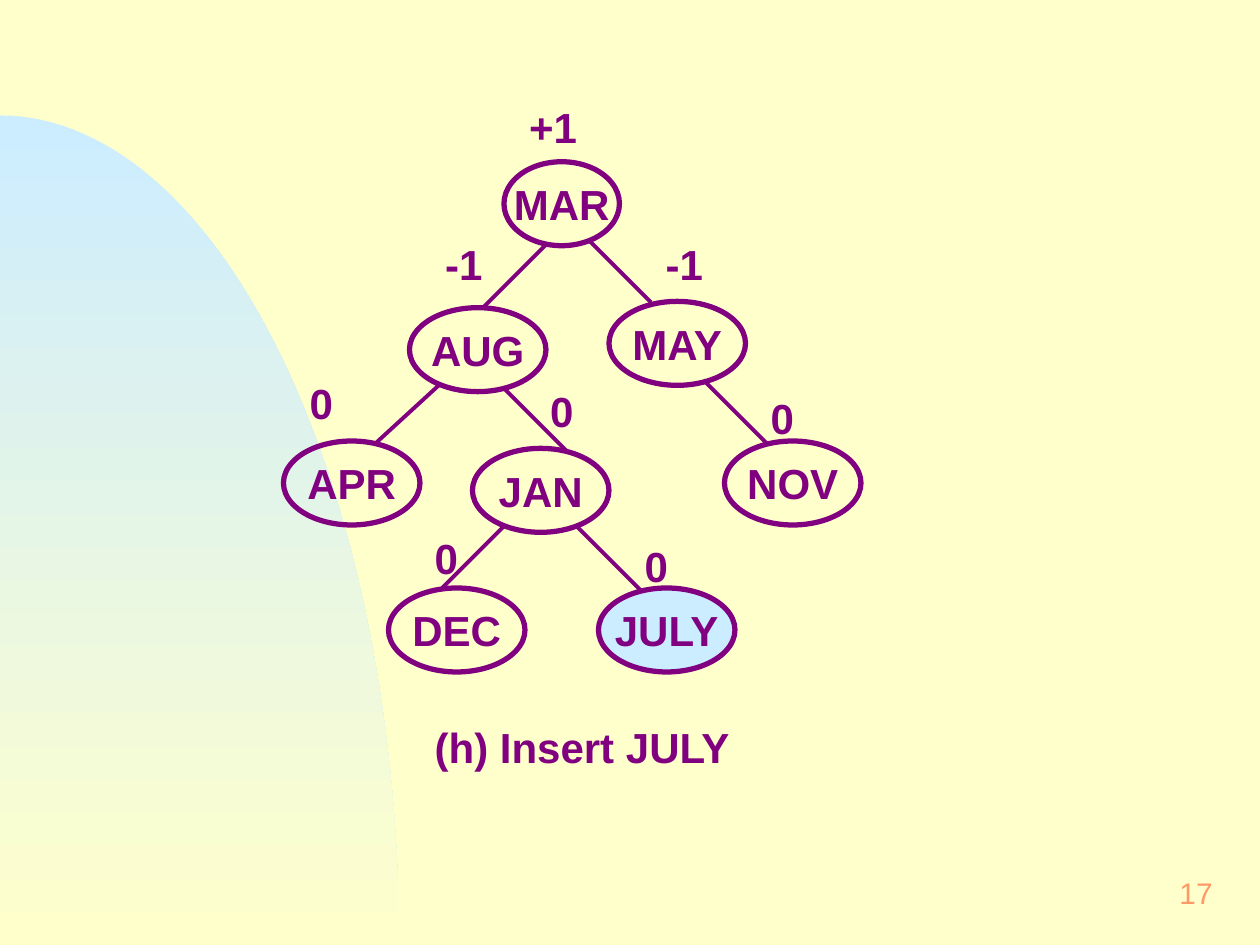
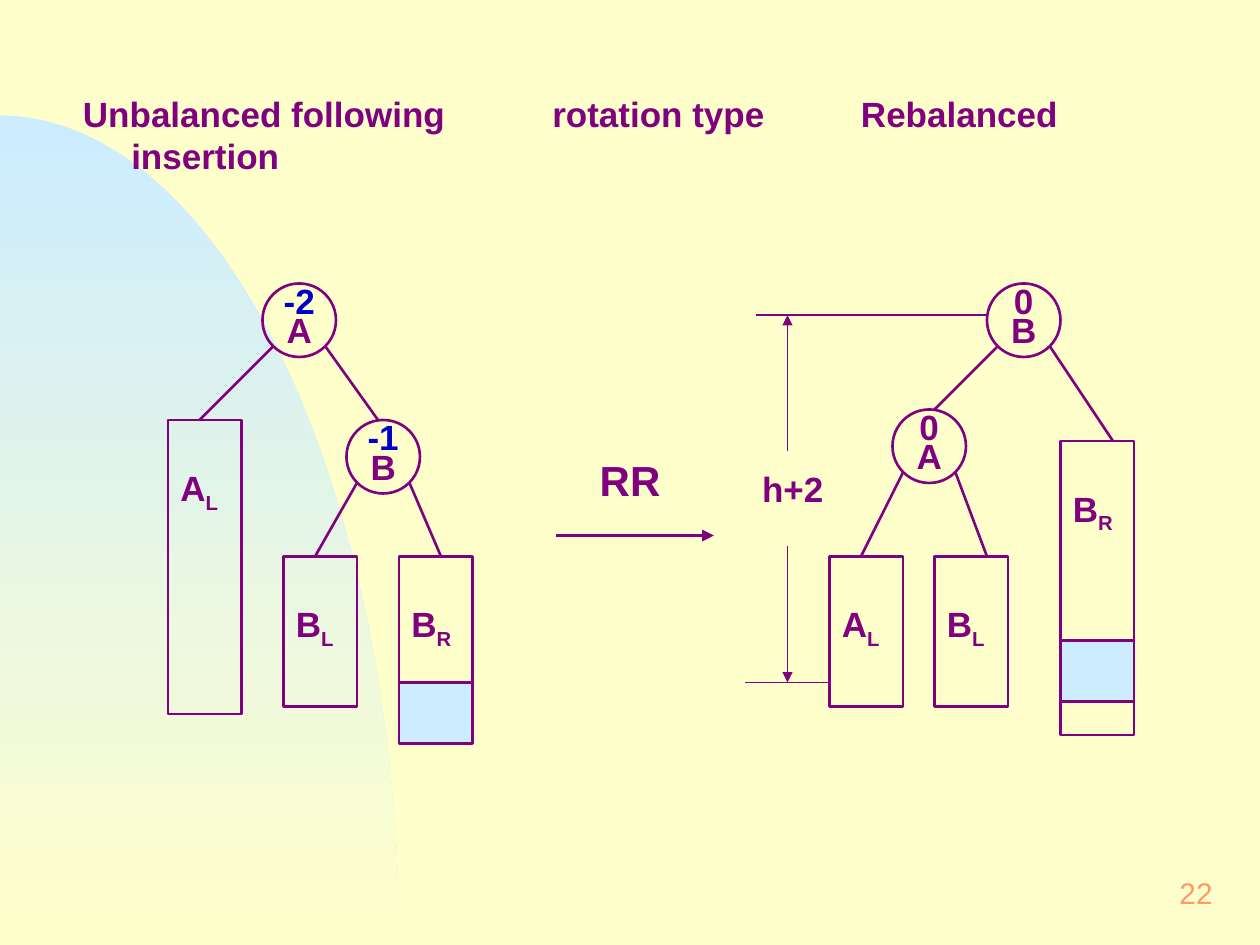
from dataclasses import dataclass
from math import cos, pi, sin

from pptx import Presentation
from pptx.dml.color import RGBColor
from pptx.enum.shapes import MSO_CONNECTOR, MSO_SHAPE
from pptx.enum.text import MSO_ANCHOR as ANCHOR, PP_ALIGN as ALIGN
from pptx.oxml.ns import qn
from pptx.slide import Slide
from pptx.util import Inches, Pt

CREAM, SKY, PURPLE, BLUE, ORANGE = "FFFFCC", "CCECFF", "800080", "0000CC", "FF9966"
FONT = "Arial"
COLS, ROWS = 120, 90
NODE_W, NODE_H = 13, 8
CIRCLE, BOX_W, EXTRA_H = 7, 7, 5.8

prs = Presentation()
prs.slide_width, prs.slide_height = Inches(10), Inches(7.5)


@dataclass
class Month:
    name: str
    x: float
    y: float
    balance: str
    label: tuple[float, float]
    foot: tuple[float, float] | None = None
    run: float = 6
    rise: float = 6
    width: float = NODE_W
    fill: str | None = None


@dataclass
class Circle:
    name: str
    balance: str
    x: float
    y: float
    left: tuple[float, float]
    right: tuple[float, float]
    balance_color: str = PURPLE


@dataclass
class Subtree:
    name: str
    side: str
    x: float
    y: float
    height: float = 14.3
    extra_y: float | None = None


def col(n: float) -> int:
    return round(prs.slide_width * n / COLS)


def row(n: float) -> int:
    return round(prs.slide_height * n / ROWS)


def rgb(color: str) -> RGBColor:
    return RGBColor.from_string(color)


def style(r, size: float, color: str = PURPLE, bold: bool = True) -> None:
    r.font.name, r.font.size, r.font.bold = FONT, Pt(size), bold
    r.font.color.rgb = rgb(color)


def set_text(sp, text: str, size: float, color: str = PURPLE, bold: bool = True,
             align=ALIGN.CENTER, anchor=ANCHOR.MIDDLE, wrap: bool = False):
    tf = sp.text_frame
    tf.margin_left = tf.margin_right = tf.margin_top = tf.margin_bottom = 0
    tf.word_wrap, tf.vertical_anchor = wrap, anchor
    tf.text = text
    for p in tf.paragraphs:
        p.alignment = align
        for r in p.runs:
            style(r, size, color, bold)
    return tf


def add_text(s: Slide, x: float, y: float, w: float, h: float, text: str, size: float, **options):
    sp = s.shapes.add_textbox(col(x), row(y), col(w), row(h))
    return set_text(sp, text, size, **options)


def add_outline(s: Slide, kind, x: float, y: float, w: float, h: float,
                weight: float, fill: str | None = None):
    sp = s.shapes.add_shape(kind, col(x), row(y), col(w), row(h))
    sp.shadow.inherit = False
    if fill:
        sp.fill.solid()
        sp.fill.fore_color.rgb = rgb(fill)
    else:
        sp.fill.background()
    sp.line.color.rgb, sp.line.width = rgb(PURPLE), Pt(weight)
    return sp


def add_line(s: Slide, start: tuple[float, float], end: tuple[float, float],
             weight: float, arrow: bool = False) -> None:
    cx = s.shapes.add_connector(MSO_CONNECTOR.STRAIGHT, col(start[0]), row(start[1]),
                                col(end[0]), row(end[1]))
    cx.line.color.rgb, cx.line.width = rgb(PURPLE), Pt(weight)
    if arrow:
        ln = cx.line._get_or_add_ln()
        ln.append(ln.makeelement(qn("a:tailEnd"), {"type": "triangle"}))
    sp_pr = cx._element.spPr
    sp_pr.append(sp_pr.makeelement(qn("a:effectLst"), {}))


def add_master_hill(s: Slide) -> None:
    master = prs.slide_master
    master.background.fill.solid()
    master.background.fill.fore_color.rgb = rgb(CREAM)
    width, height, steps = 38, 79, 60
    angles = [pi / 2 * i / steps for i in range(1, steps + 1)]
    curve = [(col(width * sin(a)), row(ROWS - height * cos(a))) for a in angles]
    builder = s.shapes.build_freeform(0, row(ROWS - height))
    builder.add_line_segments(curve + [(0, row(ROWS))], close=True)
    sp = builder.convert_to_shape()
    sp.shadow.inherit = False
    sp.line.fill.background()
    sp.fill.gradient()
    sp.fill.gradient_angle = 270
    for stop, color in zip(sp.fill.gradient_stops, (SKY, CREAM)):
        stop.color.rgb = rgb(color)
    master.element.cSld.spTree.insert(2, sp._element)


def add_slide(number: int) -> Slide:
    s = prs.slides.add_slide(prs.slide_layouts[6])
    add_text(s, 92, 82, 23.5, 6, str(number), 17, color=ORANGE, bold=False, align=ALIGN.RIGHT)
    return s


def draw_month(s: Slide, m: Month) -> None:
    if m.foot:
        x, y = m.foot
        add_line(s, m.foot, (x + m.run, y - m.rise), 2.24)
    sp = add_outline(s, MSO_SHAPE.OVAL, m.x, m.y, m.width, NODE_H, 3, m.fill)
    set_text(sp, m.name, 24)
    add_text(s, m.label[0] + 1.4, m.label[1] + 0.7, 6, 4.8, m.balance, 24,
             align=ALIGN.LEFT, anchor=ANCHOR.TOP)


def draw_circle(s: Slide, c: Circle) -> None:
    sp = add_outline(s, MSO_SHAPE.OVAL, c.x, c.y, CIRCLE, CIRCLE, 1.5)
    tf = set_text(sp, f"{c.balance}\n{c.name}", 20)
    for p in tf.paragraphs:
        p.line_spacing = 0.7
    style(tf.paragraphs[0].runs[0], 20, c.balance_color)
    add_line(s, (c.x + 1, c.y + 6), c.left, 1.5)
    add_line(s, (c.x + 6, c.y + 6), c.right, 1.5)


def draw_subtree(s: Slide, t: Subtree) -> None:
    sp = add_outline(s, MSO_SHAPE.RECTANGLE, t.x, t.y, BOX_W, t.height, 1.5)
    tf = set_text(sp, t.name, 20, align=ALIGN.LEFT, anchor=ANCHOR.TOP)
    tf.margin_left, tf.margin_top = col(1.2), row(4.4)
    r = tf.paragraphs[0].add_run()
    r.text = t.side
    style(r, 20)
    r.font._element.set("baseline", "-25000")
    if t.extra_y:
        add_outline(s, MSO_SHAPE.RECTANGLE, t.x, t.extra_y, BOX_W, EXTRA_H, 1.5, SKY)


MONTHS = [
    Month("MAR", 48, 15.4, "+1", (49, 9), width=11),
    Month("AUG", 39, 29.3, "-1", (41, 22), (46, 29.3)),
    Month("MAY", 58, 28.7, "-1", (62, 22), (62, 28.8), -6),
    Month("APR", 27, 42, "0", (28.1, 35.3), (35.9, 42.1), rise=5.5),
    Month("JAN", 45, 42.7, "0", (51, 36), (54, 43), -6),
    Month("NOV", 69, 42, "0", (72, 36.7), (73, 42.2), -6),
    Month("DEC", 37, 56, "0", (40, 50), (42.1, 56)),
    Month("JULY", 57, 56, "0", (60, 50.8), (61, 56.2), -6, fill=SKY),
]

CIRCLES = [
    Circle("A", "-2", 25, 27, (19, 40), (36, 40), BLUE),
    Circle("B", "-1", 33, 40, (30, 53), (42, 53), BLUE),
    Circle("B", "0", 94, 27, (89, 39), (106, 42)),
    Circle("A", "0", 85, 39, (82, 53), (94, 53)),
]

SUBTREES = [
    Subtree("A", "L", 16, 40, height=28),
    Subtree("B", "L", 27, 53),
    Subtree("B", "R", 38, 53, extra_y=65),
    Subtree("A", "L", 79, 53),
    Subtree("B", "L", 89, 53),
    Subtree("B", "R", 101, 42, height=28, extra_y=61),
]

HEADINGS = [("Unbalanced following insertion", 7.9, 40), ("rotation type", 52.6, 24),
            ("Rebalanced", 82, 24)]


def insertion_slide() -> Slide:
    s = add_slide(17)
    for month in MONTHS:
        draw_month(s, month)
    add_text(s, 41.4, 68.7, 30, 4.8, "(h) Insert JULY", 24, align=ALIGN.LEFT, anchor=ANCHOR.TOP)
    return s


def rotation_slide() -> Slide:
    s = add_slide(22)
    for text, x, width in HEADINGS:
        tf = add_text(s, x, 8.8, width, 8, text, 20, align=ALIGN.LEFT,
                      anchor=ANCHOR.TOP, wrap=True)
        p_pr = tf.paragraphs[0]._p.get_or_add_pPr()
        p_pr.set("marL", str(col(4.6)))
        p_pr.set("indent", str(-col(4.6)))
    for circle in CIRCLES:
        draw_circle(s, circle)
    for subtree in SUBTREES:
        draw_subtree(s, subtree)
    add_text(s, 55, 43.7, 10, 4, "RR", 24)
    add_line(s, (53, 51), (68, 51), 2.24, arrow=True)
    add_text(s, 71, 44.5, 9, 4, "h+2", 20)
    add_line(s, (72, 30), (94, 30), 1)
    add_line(s, (71, 65), (79, 65), 1)
    add_line(s, (75, 43), (75, 30), 1, arrow=True)
    add_line(s, (75, 52), (75, 65), 1, arrow=True)
    return s


add_master_hill(insertion_slide())
rotation_slide()
prs.save("out.pptx")
